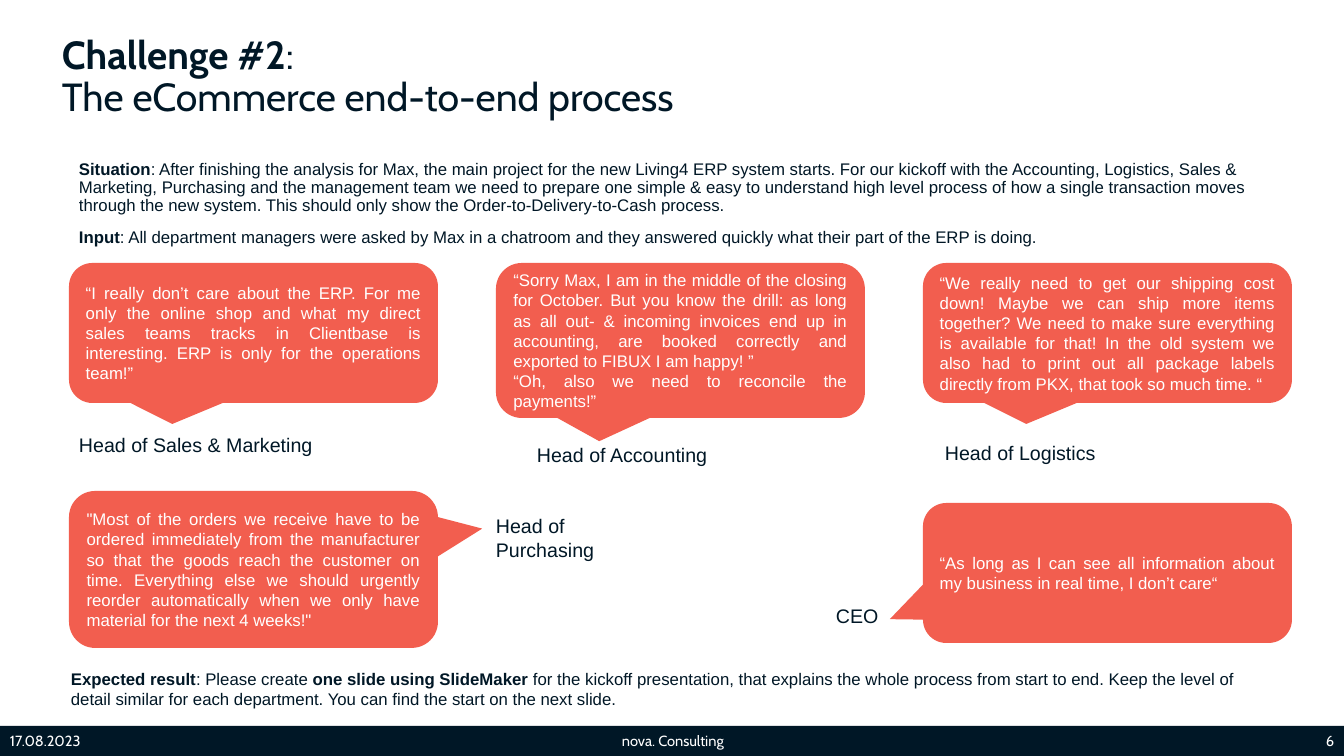
"""Build the Challenge #2 slide with its department quotes in callouts."""
from pptx import Presentation, util as u
from pptx.dml import color
from pptx.enum import shapes, text

THEME = {
    "navy": "001726", "coral": "F25E4F", "white": "FFFFFF",
    "heading": "Cabin", "body": "Arial",
    "title": 28, "label": 14, "copy": 12, "footer": 10.5,
}
SCALE = 914400 / 100.8
PAGE_W, PAGE_H, BAR_H = 1344, 756, 30
COLUMN_X, COLUMN_STEP, CALLOUT_W = 69, 427, 369

TITLE = [[("Challenge #2", True), (":\nThe eCommerce end-to-end process", False)]]
INTRO = [
    [("Situation", True),
     (": After finishing the analysis for Max, the main project for the new Living4 ERP system starts. "
      "For our kickoff with the Accounting, Logistics, Sales & Marketing, Purchasing and the management "
      "team we need to prepare one simple & easy to understand high level process of how a single "
      "transaction moves through the new system. This should only show the Order-to-Delivery-to-Cash "
      "process.", False)],
    [("Input", True),
     (": All department managers were asked by Max in a chatroom and they answered quickly what their "
      "part of the ERP is doing.", False)],
]
RESULT = [
    [("Expected result", True), (": Please create ", False), ("one slide using SlideMaker", True),
     (" for the kickoff presentation, that explains the whole process from start to end. Keep the level "
      "of detail similar for each department. You can find the start on the next slide.", False)],
]
POINT_DOWN, POINT_RIGHT, POINT_LEFT = (-0.22, 0.65), (0.62, -0.26), (-0.59, 0.33)
QUOTES = [
    (0, 263, 140, POINT_DOWN,
     ["“I really don’t care about the ERP. For me only the online shop and what my direct sales teams "
      "tracks in Clientbase is interesting. ERP is only for the operations team!”"]),
    (1, 263, 155, POINT_DOWN,
     ["“Sorry Max, I am in the middle of the closing for October. But you know the drill: as long as "
      "all out- & incoming invoices end up in accounting, are booked correctly and exported to FIBUX "
      "I am happy! ”",
      "“Oh, also we need to reconcile the payments!”"]),
    (2, 263, 140, POINT_DOWN,
     ["“We really need to get our shipping cost down! Maybe we can ship more items together? We need to "
      "make sure everything is available for that! In the old system we also had to print out all "
      "package labels directly from PKX, that took so much time. “"]),
    (0, 491, 157, POINT_RIGHT,
     ["\"Most of the orders we receive have to be ordered immediately from the manufacturer so that the "
      "goods reach the customer on time. Everything else we should urgently reorder automatically when "
      "we only have material for the next 4 weeks!\""]),
    (2, 503, 140, POINT_LEFT,
     ["“As long as I can see all information about my business in real time, I don’t care“"]),
]
LABELS = [
    ("Head of Sales & Marketing", (69, 428, 256, 34)),
    ("Head of Accounting", (527, 438, 192, 34)),
    ("Head of Logistics", (935, 436, 172, 34)),
    ("Head of\nPurchasing", (486, 509, 119, 57)),
    ("CEO", (826, 599, 64, 34)),
]
FOOTER = [
    ("17.08.2023", 0, 302, "LEFT"),
    ("nova. Consulting", 446, 454, "CENTER"),
    ("6", 1042, 302, "RIGHT"),
]


def px(*lengths):
    return [u.Emu(round(length * SCALE)) for length in lengths]


def assign(target, values):
    for name, value in values.items():
        setattr(target, name, value)


def write(box, paras, size, font="body", ink="navy", anchor="TOP", **layout):
    frame = box.text_frame
    assign(frame, {"word_wrap": True, "vertical_anchor": getattr(text.MSO_ANCHOR, anchor)})
    for index, spans in enumerate(paras):
        para = frame.add_paragraph() if index else frame.paragraphs[0]
        assign(para, layout)
        if not index:
            para.space_before = u.Pt(0)
        for content, bold in spans:
            for row, line in enumerate(content.split("\n")):
                if row:
                    para.add_line_break()
                span = para.add_run()
                span.text = line
                assign(span.font, {"name": THEME[font], "size": u.Pt(THEME[size]), "bold": bold})
                span.font.color.rgb = color.RGBColor.from_string(THEME[ink])


def add_box(page, place, paras, size, **style):
    write(page.shapes.add_textbox(*px(*place)), paras, size, **style)


def add_filled(page, kind, place, fill):
    shape = page.shapes.add_shape(kind, *px(*place))
    shape.shadow.inherit = False
    shape.fill.solid()
    shape.fill.fore_color.rgb = color.RGBColor.from_string(THEME[fill])
    shape.line.fill.background()
    return shape


def main():
    deck = Presentation()
    deck.slide_width, deck.slide_height = px(PAGE_W, PAGE_H)
    page = deck.slides.add_slide(deck.slide_layouts[6])
    kinds = shapes.MSO_SHAPE

    bar_y = PAGE_H - BAR_H
    add_filled(page, kinds.RECTANGLE, (0, bar_y, PAGE_W, BAR_H), "navy")
    for content, x, width, side in FOOTER:
        add_box(page, (x, bar_y, width, BAR_H), [[(content, False)]], "footer", font="heading",
                ink="white", anchor="MIDDLE", alignment=getattr(text.PP_ALIGN, side))

    add_box(page, (52, 30, 1112, 95), TITLE, "title", font="heading", anchor="MIDDLE", line_spacing=0.9)
    add_box(page, (69, 156, 1222, 118), INTRO, "copy", line_spacing=0.9, space_before=u.Pt(10))
    add_box(page, (61, 664, 1222, 50), RESULT, "copy")

    for column, y, height, tip, lines in QUOTES:
        place = (COLUMN_X + column * COLUMN_STEP, y, CALLOUT_W, height)
        callout = add_filled(page, kinds.ROUNDED_RECTANGULAR_CALLOUT, place, "coral")
        callout.adjustments[0], callout.adjustments[1] = tip
        write(callout, [[(line, False)] for line in lines], "copy", ink="white", anchor="MIDDLE",
              alignment=text.PP_ALIGN.JUSTIFY)

    for content, place in LABELS:
        add_box(page, place, [[(content, False)]], "label")

    deck.save("out.pptx")


if __name__ == "__main__":
    main()
